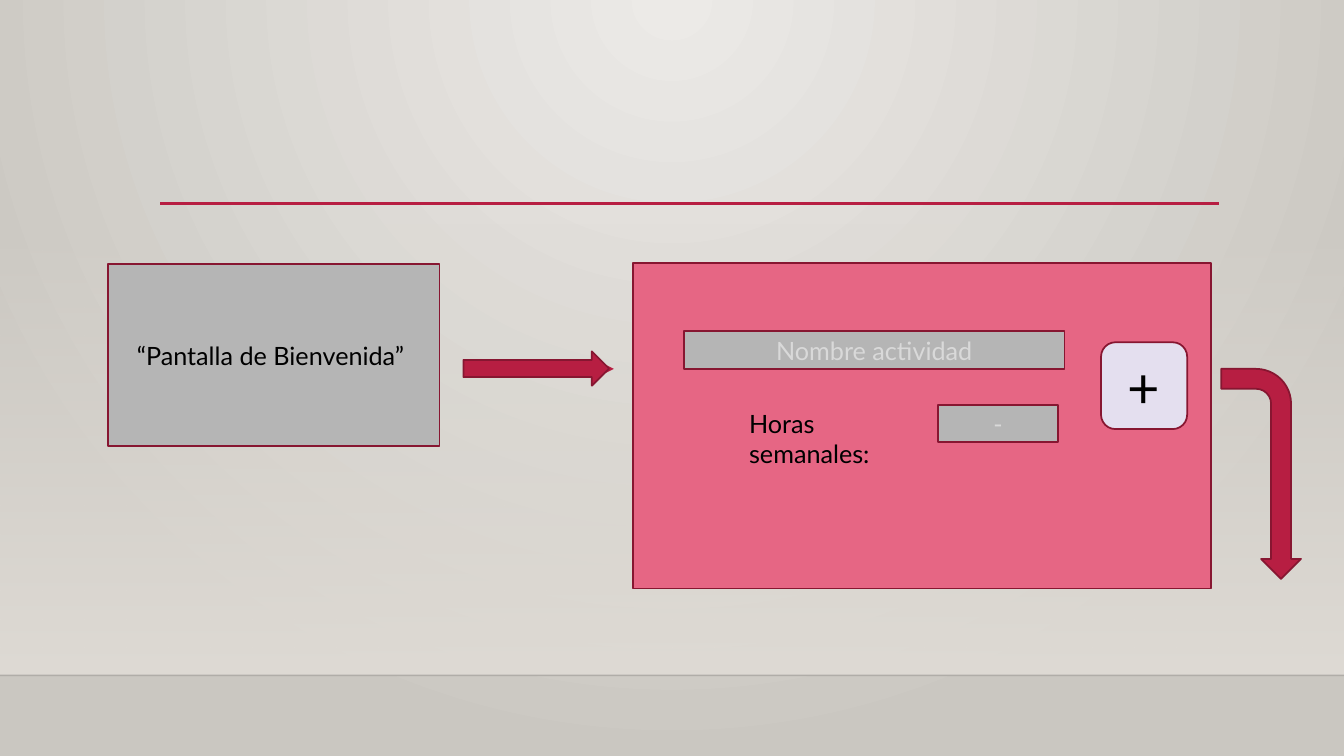
from pptx import Presentation
from pptx.dml.color import RGBColor
from pptx.enum.shapes import MSO_CONNECTOR, MSO_SHAPE
from pptx.enum.text import MSO_ANCHOR, PP_ALIGN
from pptx.oxml import parse_xml
from pptx.oxml.ns import nsdecls, qn
from pptx.util import Pt

RECT, ROUND = MSO_SHAPE.RECTANGLE, MSO_SHAPE.ROUNDED_RECTANGLE
RIGHT, BENT = MSO_SHAPE.RIGHT_ARROW, MSO_SHAPE.BENT_ARROW
STRAIGHT = MSO_CONNECTOR.STRAIGHT
MIDDLE, CENTER = MSO_ANCHOR.MIDDLE, PP_ALIGN.CENTER

RED, EDGE, PINK = "B71E42", "871631", "E66684"
GREY, PALE, LILAC, BLACK = "B5B5B5", "D9D9D9", "E4DFEF", "000000"
rgb = RGBColor.from_string


def shade(fill, root, stops, tail):
    """Give root's first gradient the stops (position, colour, alpha)."""
    fill.gradient()
    old = root.find(".//" + qn("a:gradFill"))
    items = "".join(
        f'<a:gs pos="{pos}000"><a:srgbClr val="{hue}">'
        f'<a:alpha val="{alpha}000"/></a:srgbClr></a:gs>'
        for pos, hue, alpha in stops)
    old.getparent().replace(old, parse_xml(
        f'<a:gradFill {nsdecls("a")} rotWithShape="1">'
        f'<a:gsLst>{items}</a:gsLst>{tail}</a:gradFill>'))


def write(shape, text, size, hue, align=None):
    para = shape.text_frame.paragraphs[0]
    para.alignment = align
    run = para.add_run()
    run.text = text
    look = {"name": "Lato", "size": Pt(size)}
    for key, value in look.items():
        setattr(run.font, key, value)
    run.font.color.rgb = rgb(hue)


deck = Presentation()
deck.slide_width, deck.slide_height = Pt(960), Pt(540)
slide = deck.slides.add_slide(deck.slide_layouts[6])
shapes = slide.shapes

# Background and wall
shade(slide.background.fill, slide.element,
      [(0, "ECEAE7", 100), (100, "CAC7C1", 100)],
      '<a:path path="circle">'
      '<a:fillToRect l="43000" t="0" r="43000" b="100000"/></a:path>')
wall = shapes.add_shape(RECT, 0, Pt(159), Pt(960), Pt(323.4))
wall.shadow.inherit = False
wall.line.fill.background()
shade(wall.fill, wall.element, [(0, "DFDBD5", 0), (100, "DFDBD5", 100)],
      '<a:lin ang="5400000" scaled="0"/>')

# Floor line, title rule and the line under the right arrow
lines = [
    (0, 960, 482.4, BLACK, 1),
    (114.5, 871, 145.2, RED, 2.5),
    (357, 438.5, 263.5, RED, 0.75),
]
rules = []
for start, end, y, hue, width in lines:
    rule = shapes.add_connector(STRAIGHT, Pt(start), Pt(y), Pt(end), Pt(y))
    rule.line.color.rgb = rgb(hue)
    rule.line.width = Pt(width)
    rule.element.spPr.append(parse_xml(f'<a:effectLst {nsdecls("a")}/>'))
    rules.append(rule)
floor, title, link = rules
floor.element.find(".//" + qn("a:srgbClr")).append(
    parse_xml(f'<a:alpha {nsdecls("a")} val="20000"/>'))
link.line._get_or_add_ln().append(
    parse_xml(f'<a:tailEnd {nsdecls("a")} type="triangle"/>'))

# Screens, fields, button and arrows
parts = [
    (RECT, 452, 188, 413, 232.5, 0, PINK, None),
    (RECT, 77, 188.6, 237, 130, 0, GREY, ("“Pantalla de Bienvenida” ", 18, BLACK)),
    (RECT, 670, 289.5, 86, 26.5, 0, GREY, ("-", 18, PALE)),
    (RECT, 488.5, 236.5, 272, 27, 0, GREY, ("Nombre actividad", 18, PALE)),
    (RIGHT, 331, 251, 104, 24.5, 0, RED, None),
    (ROUND, 786.5, 244.5, 61.5, 62, 0, LILAC, ("+", 40, BLACK)),
    (BENT, 825.8, 310, 150, 57, 90, RED, None),
]
for kind, left, top, wide, high, turn, hue, label in parts:
    part = shapes.add_shape(kind, Pt(left), Pt(top), Pt(wide), Pt(high))
    part.shadow.inherit = False
    part.rotation = turn
    part.fill.solid()
    part.fill.fore_color.rgb = rgb(hue)
    part.line.color.rgb = rgb(EDGE)
    part.line.width = Pt(1.25)
    if label:
        part.text_frame.vertical_anchor = MIDDLE
        write(part, *label, CENTER)

# Hours label
hours = shapes.add_textbox(Pt(528), Pt(288), Pt(110), Pt(29))
hours.text_frame.word_wrap = True
write(hours, "Horas semanales:", 18, BLACK)

deck.save("out.pptx")
